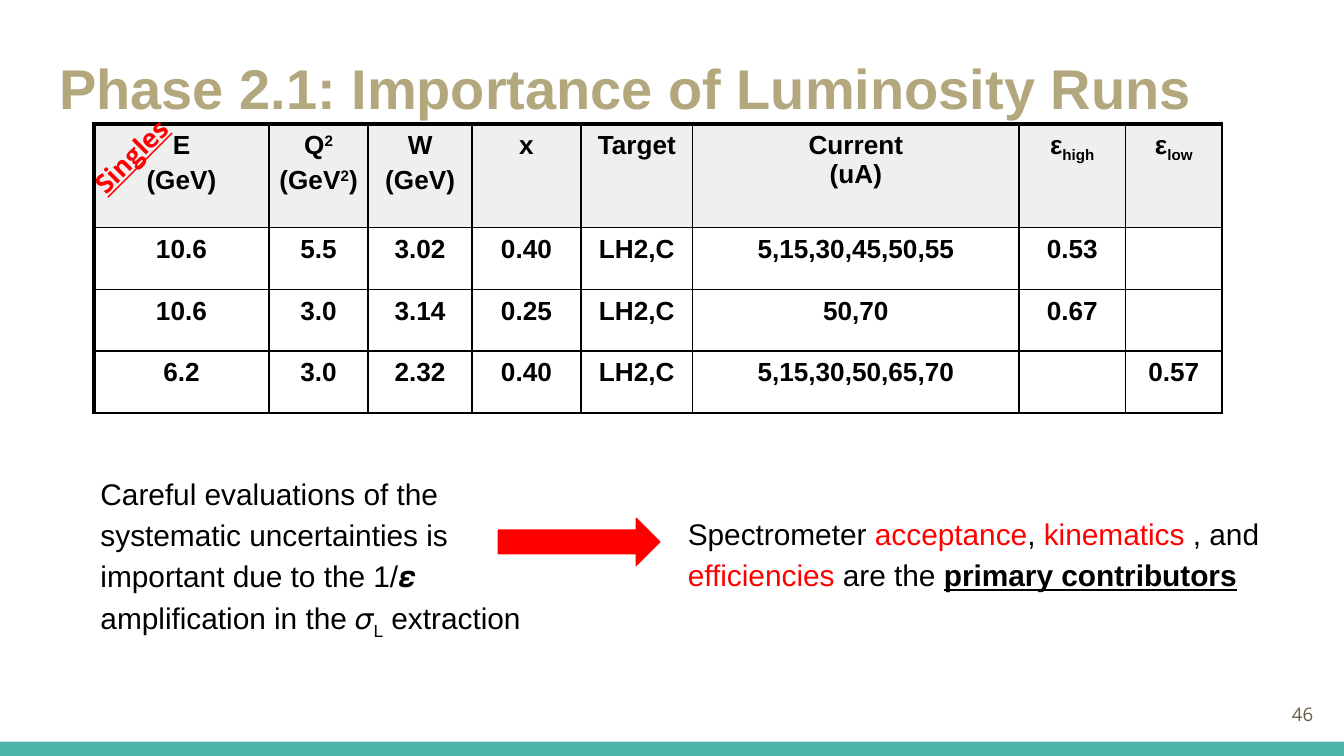
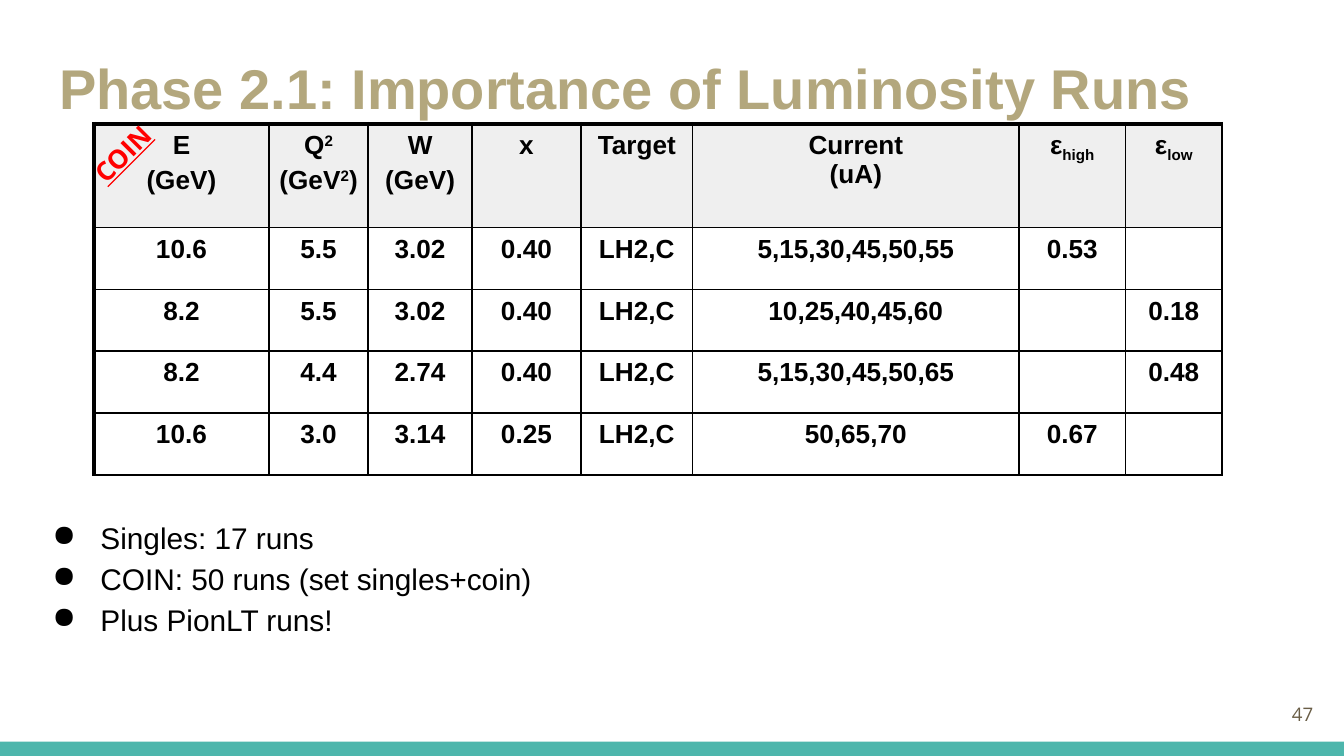
from lxml.etree import SubElement
from pptx import Presentation
from pptx.dml.color import RGBColor
from pptx.enum.shapes import MSO_SHAPE
from pptx.enum.text import MSO_ANCHOR, MSO_AUTO_SIZE, PP_ALIGN
from pptx.oxml.ns import qn
from pptx.util import Cm, Pt

COLORS = {
    "band": "4DB6AC", "title": "B3A77D", "number": "695D46",
    "text": "000000", "accent": "FF0000", "header": "EFEFEF",
}
TITLE = "Phase 2.1: Importance of Luminosity Runs"
INSET, CELL_INSET = 0.25, 0.13
COL_WIDTHS = [3.3, 1.88, 1.96, 2.06, 2.11, 6.17, 2.01, 1.83]
HEADER_HEIGHT, ROW_HEIGHT = 1.96, 1.17

# Text is a list of paragraphs; a paragraph is a list of strings or (string, format)
SUP, SUB = {"baseline": 30}, {"baseline": -25}
RED = {"color": "accent"}
HEADERS = [
    [["E"], ["(GeV)"]],
    [["Q", ("2", SUP)], ["(GeV", ("2", SUP), ")"]],
    [["W"], ["(GeV)"]],
    [["x"]],
    [["Target"]],
    [["Current"], ["(uA)"]],
    [["ε", ("high", SUB)]],
    [["ε", ("low", SUB)]],
]
SINGLES_RUNS = [
    ["10.6", "5.5", "3.02", "0.40", "LH2,C", "5,15,30,45,50,55", "0.53", ""],
    ["10.6", "3.0", "3.14", "0.25", "LH2,C", "50,70", "0.67", ""],
    ["6.2", "3.0", "2.32", "0.40", "LH2,C", "5,15,30,50,65,70", "", "0.57"],
]
COIN_RUNS = [
    ["10.6", "5.5", "3.02", "0.40", "LH2,C", "5,15,30,45,50,55", "0.53", ""],
    ["8.2", "5.5", "3.02", "0.40", "LH2,C", "10,25,40,45,60", "", "0.18"],
    ["8.2", "4.4", "2.74", "0.40", "LH2,C", "5,15,30,45,50,65", "", "0.48"],
    ["10.6", "3.0", "3.14", "0.25", "LH2,C", "50,65,70", "0.67", ""],
]


def rgb(name):
    return RGBColor.from_string(COLORS[name])


def add_run(p, text, size=16, font="Arial", color="text", bold=False,
            underline=False, baseline=0):
    r = p.add_run()
    r.text = text
    f = r.font
    f.size, f.name, f.bold = Pt(size), font, bold
    f.color.rgb = rgb(color)
    if underline:
        f.underline = True
    if baseline:
        r._r.get_or_add_rPr().set("baseline", str(baseline * 1000))


def write(tf, paragraphs, align=PP_ALIGN.LEFT, line=None, before=0, after=0,
          indent=None, bullet=None, **fmt):
    for i, runs in enumerate(paragraphs):
        p = tf.paragraphs[0] if i == 0 else tf.add_paragraph()
        p.alignment = align
        p.space_before, p.space_after = Pt(before if i else 0), Pt(after)
        if line:
            p.line_spacing = line
        if indent:
            pPr = p._p.get_or_add_pPr()
            pPr.set("marL", str(Cm(indent[0])))
            pPr.set("indent", str(Cm(indent[1])))
        if bullet:
            clr = SubElement(pPr, qn("a:buClr"))
            SubElement(clr, qn("a:srgbClr"), val=COLORS["text"])
            SubElement(pPr, qn("a:buChar"), char=bullet)
        for run in runs:
            text, extra = (run, {}) if isinstance(run, str) else run
            add_run(p, text, **{**fmt, **extra})


def set_frame(tf, anchor=MSO_ANCHOR.TOP):
    tf.word_wrap = True
    tf.auto_size = MSO_AUTO_SIZE.NONE
    tf.vertical_anchor = anchor
    tf.margin_left = tf.margin_right = tf.margin_top = tf.margin_bottom = Cm(INSET)


def add_text(s, box, paragraphs, anchor=MSO_ANCHOR.TOP, rotation=0, **fmt):
    sp = s.shapes.add_textbox(*map(Cm, box))
    sp.rotation = rotation
    set_frame(sp.text_frame, anchor)
    write(sp.text_frame, paragraphs, **fmt)


def add_preset(s, kind, box, color, outline=None):
    sp = s.shapes.add_shape(kind, *map(Cm, box))
    sp.shadow.inherit = False
    sp.fill.solid()
    sp.fill.fore_color.rgb = rgb(color)
    if outline:
        sp.line.color.rgb = rgb(color)
        sp.line.width = Pt(outline)
    else:
        sp.line.fill.background()


def set_borders(cell, **widths):
    tcPr = cell._tc.get_or_add_tcPr()
    for side in "LRTB":
        ln = SubElement(tcPr, qn("a:ln" + side), w=str(Pt(widths.get(side, 1))))
        fill = SubElement(ln, qn("a:solidFill"))
        SubElement(fill, qn("a:srgbClr"), val=COLORS["text"])


def add_run_table(s, rows):
    height = HEADER_HEIGHT + ROW_HEIGHT * len(rows)
    frame = s.shapes.add_table(len(rows) + 1, len(COL_WIDTHS), Cm(1.78), Cm(2.34),
                               Cm(sum(COL_WIDTHS)), Cm(height))
    table = frame.table
    table.first_row = table.horz_banding = False
    for column, width in zip(table.columns, COL_WIDTHS):
        column.width = Cm(width)
    contents = [HEADERS] + [[[[value]] if value else [] for value in row] for row in rows]
    for i, row in enumerate(contents):
        table.rows[i].height = Cm(ROW_HEIGHT if i else HEADER_HEIGHT)
        for j, paragraphs in enumerate(row):
            cell = table.cell(i, j)
            cell.margin_left = cell.margin_right = 0
            cell.margin_top = cell.margin_bottom = Cm(CELL_INSET)
            set_borders(cell, L=1 if j else 2.25, T=1 if i else 2.25)
            if i:
                cell.fill.background()
            else:
                cell.fill.solid()
                cell.fill.fore_color.rgb = rgb("header")
            before = 0 if paragraphs == HEADERS[5] else 2.8
            write(cell.text_frame, paragraphs, align=PP_ALIGN.CENTER,
                  before=before, size=14, bold=True)


def add_badge(s, text, top):
    add_text(s, (1.42, top, 2.74, 1.47), [[text]], rotation=315, size=14,
             font="Open Sans", color="accent", bold=True, underline=True)


def new_slide(prs, number):
    s = prs.slides.add_slide(prs.slide_layouts[5])
    add_preset(s, MSO_SHAPE.RECTANGLE, (0, 14.02, 25.4, 0.27), "band")
    title = s.shapes.title
    title.left, title.top, title.width, title.height = map(Cm, (0.87, 0.64, 23.67, 1.6))
    set_frame(title.text_frame)
    title.text_frame.margin_top = Cm(0.37)
    write(title.text_frame, [[TITLE]], size=30, color="title", bold=True)
    add_text(s, (23.55, 12.95, 1.52, 1.09), [[str(number)]], anchor=MSO_ANCHOR.MIDDLE,
             align=PP_ALIGN.RIGHT, size=10, font="Open Sans", color="number")
    return s


def singles_slide(prs):
    s = new_slide(prs, 46)
    note = {"indent": (1.27, 0), "line": 1.15, "after": 16}
    add_text(s, (0.38, 8.64, 10.77, 9.5), [[
        "Careful evaluations of the systematic uncertainties is important "
        "due to the 1/𝜺 amplification in the 𝜎", ("L", SUB), " extraction"]], **note)
    add_run_table(s, SINGLES_RUNS)
    add_text(s, (11.48, 9.4, 14.88, 1.73), [[
        "Spectrometer ", ("acceptance", RED), ", ", ("kinematics ", RED), ", and ",
        ("efficiencies ", RED), "are the ",
        ("primary contributors", {"bold": True, "underline": True})]], **note)
    add_preset(s, MSO_SHAPE.RIGHT_ARROW, (9.42, 9.8, 3.05, 0.89), "accent", outline=0.75)
    add_badge(s, "Singles", 2.16)


def coin_slide(prs):
    s = new_slide(prs, 47)
    add_text(s, (0.38, 9.47, 23.67, 9.5),
             [["Singles: 17 runs"], ["COIN: 50 runs (set singles+coin)"],
              ["Plus PionLT runs!"]],
             indent=(1.27, -0.91), bullet="●", line=1.15)
    add_run_table(s, COIN_RUNS)
    add_badge(s, "COIN", 1.96)


def main():
    prs = Presentation()
    prs.slide_width, prs.slide_height = Cm(25.4), Cm(14.29)
    singles_slide(prs)
    coin_slide(prs)
    prs.save("out.pptx")


if __name__ == "__main__":
    main()
